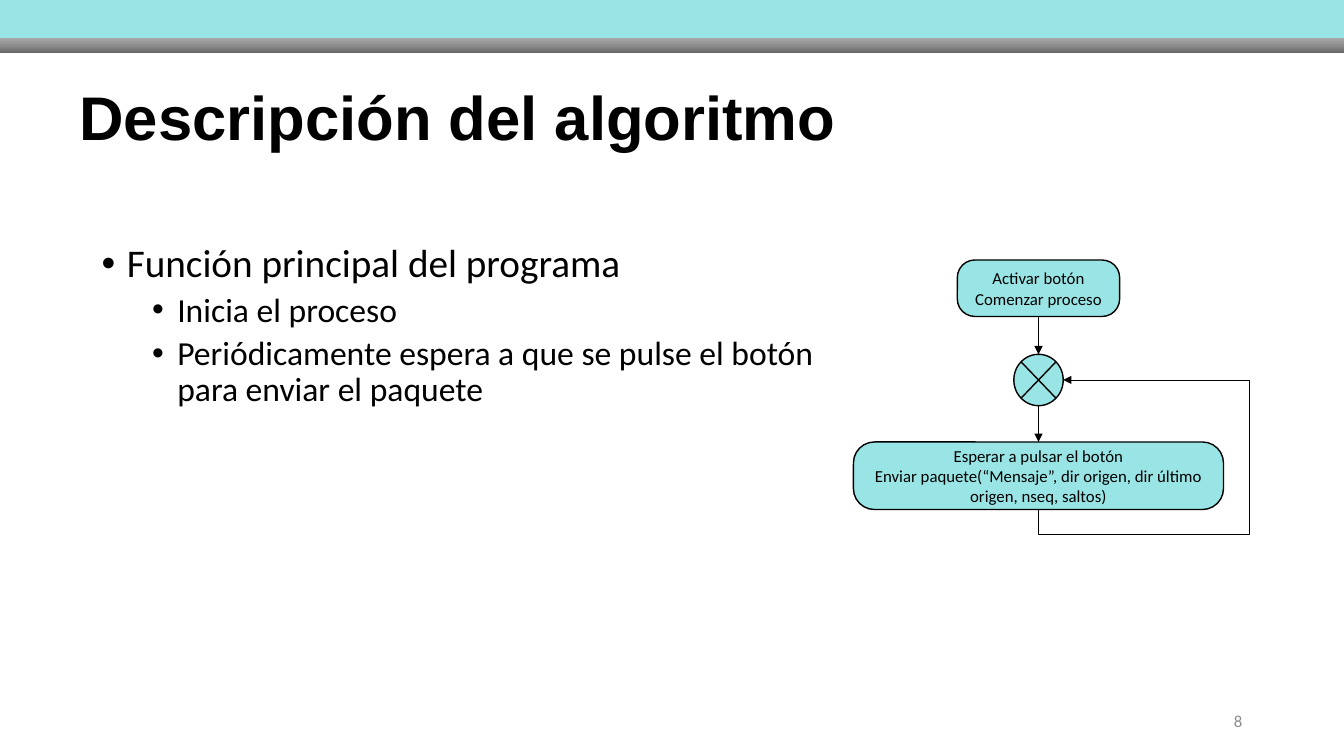
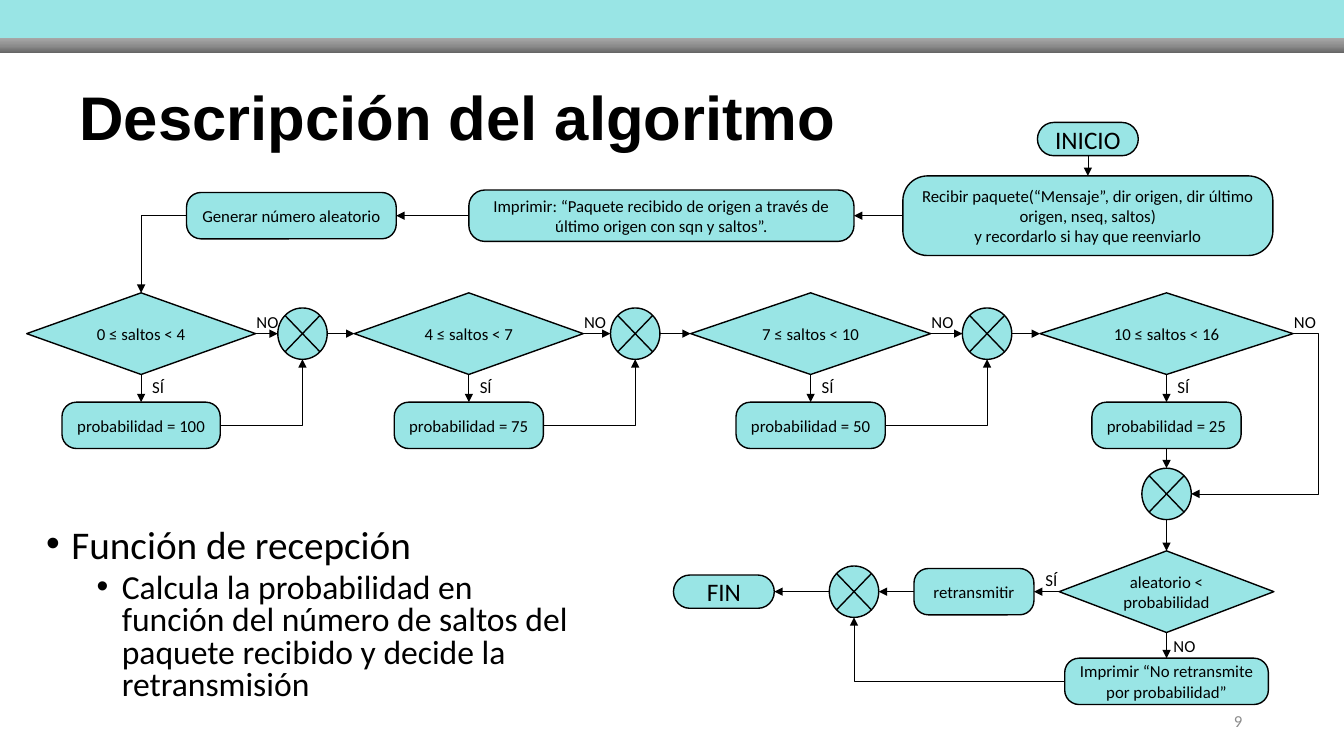
from copy import deepcopy
from dataclasses import dataclass

from lxml import etree
from pptx import Presentation
from pptx.dml.color import RGBColor
from pptx.enum.shapes import MSO_CONNECTOR, MSO_SHAPE
from pptx.enum.text import MSO_ANCHOR, PP_ALIGN
from pptx.oxml.ns import qn
from pptx.util import Inches, Pt

RECTANGLE = MSO_SHAPE.RECTANGLE
PROCESS = MSO_SHAPE.ROUNDED_RECTANGLE
DECISION = MSO_SHAPE.FLOWCHART_DECISION
JUNCTION = MSO_SHAPE.FLOWCHART_SUMMING_JUNCTION
TERMINATOR = MSO_SHAPE.FLOWCHART_TERMINATOR
STRAIGHT, ELBOW = MSO_CONNECTOR.STRAIGHT, MSO_CONNECTOR.ELBOW
MIDDLE, TOP = MSO_ANCHOR.MIDDLE, MSO_ANCHOR.TOP
LEFT, CENTER, RIGHT = PP_ALIGN.LEFT, PP_ALIGN.CENTER, PP_ALIGN.RIGHT

# Connection sites in order, counterclockwise from the top
SIDES = ("top", "left", "bottom", "right")


@dataclass(frozen=True)
class Theme:
    aqua: RGBColor = RGBColor(0x99, 0xE5, 0xE5)
    ink: RGBColor = RGBColor(0, 0, 0)
    muted: RGBColor = RGBColor(0x8C, 0x8C, 0x8C)
    band_stops: tuple = ((0, "626262"), (0.5, "8C8C8C"), (1, "A6A6A6"))
    title_font: str = "Arial"
    body_font: str = "Calibri"
    title_size: int = 44
    bullet_sizes: tuple = (28, 24)
    terminator_size: int = 18
    small_size: int = 12
    outline: float = 1
    arrow: float = 0.5


@dataclass(frozen=True)
class Box:
    left: float
    top: float
    width: float
    height: float

    def lengths(self):
        return [Inches(value) for value in (self.left, self.top, self.width, self.height)]


THEME = Theme()
TITLE_BOX = Box(0.69, 0.47, 11.5, 1.45)
NUMBER_BOX = Box(9.42, 6.95, 3, 0.4)


# Text
def format_paragraph(paragraph, size, color=THEME.ink, font=THEME.body_font,
                     bold=False, align=LEFT):
    paragraph.alignment = align
    for run in paragraph.runs:
        run.font.name = font
        run.font.size = Pt(size)
        run.font.bold = bold
        run.font.color.rgb = color


def add_text(slide, box, text, size, anchor=TOP, wrap=True, **style):
    text_frame = slide.shapes.add_textbox(*box.lengths()).text_frame
    text_frame.word_wrap = wrap
    text_frame.vertical_anchor = anchor
    text_frame.text = text
    for paragraph in text_frame.paragraphs:
        format_paragraph(paragraph, size, **style)
    return text_frame


def add_bullets(slide, box, items, line_spacing):
    """Place (level, text) items as a bulleted list."""
    text_frame = add_text(slide, box, "\n".join(text for _, text in items),
                          THEME.bullet_sizes[0])
    for paragraph, (level, _) in zip(text_frame.paragraphs, items):
        format_paragraph(paragraph, THEME.bullet_sizes[level])
        paragraph.level = level
        paragraph.line_spacing = line_spacing
        paragraph.space_before = Pt(10 - 5 * level)
        properties = paragraph._p.get_or_add_pPr()
        properties.set("marL", str(Inches(0.25 + 0.5 * level)))
        properties.set("indent", str(Inches(-0.25)))
        etree.SubElement(properties, qn("a:buFont"), typeface="Arial")
        etree.SubElement(properties, qn("a:buChar"), char="•")


# Shared slide frame: bands, title and number
def add_band(slide, box):
    band = slide.shapes.add_shape(RECTANGLE, *box.lengths())
    band.shadow.inherit = False
    band.line.fill.background()
    return band


def add_frame(presentation, title, number):
    slide = presentation.slides.add_slide(presentation.slide_layouts[6])
    color_band = add_band(slide, Box(0, 0, 13.33, 0.4))
    color_band.fill.solid()
    color_band.fill.fore_color.rgb = THEME.aqua

    gray_band = add_band(slide, Box(0, 0.38, 13.33, 0.15))
    gray_band.fill.gradient()
    gray_band.fill.gradient_angle = 90
    stop_list = gray_band._element.spPr.find(".//" + qn("a:gsLst"))
    stop_list.append(deepcopy(stop_list[-1]))
    for stop, (position, color) in zip(gray_band.fill.gradient_stops, THEME.band_stops):
        stop.position = position
        stop.color.rgb = RGBColor.from_string(color)

    heading = add_text(slide, TITLE_BOX, title, THEME.title_size, MIDDLE,
                       font=THEME.title_font, bold=True)
    heading.paragraphs[0].line_spacing = 0.9
    add_text(slide, NUMBER_BOX, str(number), THEME.small_size, MIDDLE,
             color=THEME.muted, align=RIGHT)
    return slide


# Flow chart parts, in coordinates relative to the chart's box
def side_point(shape, side):
    x = {"left": 0, "right": shape.width}.get(side, shape.width // 2)
    y = {"top": 0, "bottom": shape.height}.get(side, shape.height // 2)
    return shape.left + x, shape.top + y


class FlowChart:
    def __init__(self, slide, box):
        self.slide = slide
        self.box = box

    def node(self, kind, x, y, width, height, text="", size=THEME.small_size):
        """Place a node centred on (x, y)."""
        box = Box(self.box.left + x - width / 2, self.box.top + y - height / 2,
                  width, height)
        shape = self.slide.shapes.add_shape(kind, *box.lengths())
        shape.shadow.inherit = False
        shape.fill.solid()
        shape.fill.fore_color.rgb = THEME.aqua
        shape.line.color.rgb = THEME.ink
        shape.line.width = Pt(THEME.outline)
        if kind == PROCESS:
            shape.adjustments[0] = 0.31
        if text:
            text_frame = shape.text_frame
            text_frame.word_wrap = True
            text_frame.vertical_anchor = MIDDLE
            text_frame.text = text
            for paragraph in text_frame.paragraphs:
                format_paragraph(paragraph, size, align=CENTER)
        return shape

    def process(self, x, y, width, text, height=0.46):
        return self.node(PROCESS, x, y, width, height, text)

    def decision(self, x, y, width, text):
        return self.node(DECISION, x, y, width, 0.81, text)

    def junction(self, x, y):
        return self.node(JUNCTION, x, y, 0.49, 0.51)

    def terminator(self, x, y, text):
        return self.node(TERMINATOR, x, y, 1, 0.33, text, THEME.terminator_size)

    def label(self, x, y, text):
        box = Box(self.box.left + x, self.box.top + y, 0.42, 0.3)
        add_text(self.slide, box, text, THEME.small_size, wrap=False)

    def connect(self, source, source_side, target, target_side,
                bends=0, adjustments=(), quarter_turn=False):
        """Glue an arrow between two sides; a quarter turn leaves vertically."""
        begin, end = side_point(source, source_side), side_point(target, target_side)
        if quarter_turn:
            center_x, center_y = (begin[0] + end[0]) // 2, (begin[1] + end[1]) // 2
            begin, end = [(center_x + y - center_y, center_y - x + center_x)
                          for x, y in (begin, end)]
        connector = self.slide.shapes.add_connector(
            ELBOW if bends else STRAIGHT, *begin, *end)
        connector.line.color.rgb = THEME.ink
        connector.line.width = Pt(THEME.arrow)
        properties = connector._element.spPr
        etree.SubElement(properties.find(qn("a:ln")), qn("a:tailEnd"), type="triangle")
        etree.SubElement(properties, qn("a:effectLst"))
        if quarter_turn:
            properties.find(qn("a:xfrm")).set("rot", "5400000")
        if bends:
            geometry = properties.find(qn("a:prstGeom"))
            geometry.set("prst", f"bentConnector{bends + 1}")
            values = geometry.find(qn("a:avLst"))
            for index, value in enumerate(adjustments, 1):
                etree.SubElement(values, qn("a:gd"), name=f"adj{index}",
                                 fmla=f"val {round(value * 100000)}")
        glue = connector._element.nvCxnSpPr.cNvCxnSpPr
        for tag, shape, side in (("a:stCxn", source, source_side),
                                 ("a:endCxn", target, target_side)):
            # A junction has eight sites, the other nodes four
            step = 2 if shape.auto_shape_type == JUNCTION else 1
            etree.SubElement(glue, qn(tag), id=str(shape.shape_id),
                             idx=str(SIDES.index(side) * step))


# Main function: a loop that waits for the button
def draw_main_loop(slide, box):
    chart = FlowChart(slide, box)
    axis = 1.83
    start = chart.process(axis, 0.28, 1.61, "Activar botón\nComenzar proceso", 0.56)
    merge = chart.junction(axis, 1.19)
    send = chart.process(
        axis, 2.14, 3.67,
        "Esperar a pulsar el botón\n"
        "Enviar paquete(“Mensaje”, dir origen, dir último origen, nseq, saltos)", 0.67)
    chart.connect(start, "bottom", merge, "top")
    chart.connect(merge, "bottom", send, "top")
    chart.connect(send, "bottom", merge, "right", bends=3,
                  adjustments=(-0.19, 8.56), quarter_turn=True)


# Reception function: intake row, hop checks and outcome
def draw_intake(chart):
    axis, row = 10.52, 0.93
    start = chart.terminator(axis, 0.17, "INICIO")
    receive = chart.process(
        axis, row, 3.67,
        "Recibir paquete(“Mensaje”, dir origen, dir último origen, nseq, saltos)\n"
        "y recordarlo si hay que reenviarlo", 0.79)
    report = chart.process(
        6.29, row, 3.82,
        "Imprimir: “Paquete recibido de origen a través de último origen "
        "con sqn y saltos”.", 0.51)
    draw_number = chart.process(2.62, row, 2.08, "Generar número aleatorio")
    chart.connect(start, "bottom", receive, "top")
    chart.connect(receive, "left", report, "right")
    chart.connect(report, "left", draw_number, "right")
    return draw_number


def draw_hop_checks(chart, previous):
    row, result_row = 2.1, 3.01
    # Column centre, decision width, result width, hop range, probability, junction
    checks = (
        (1.13, 2.27, 1.57, "0 ≤ saltos < 4", 100, (2.73, row)),
        (4.38, 2.27, 1.48, "4 ≤ saltos < 7", 75, (6.03, row)),
        (7.77, 2.38, 1.48, "7 ≤ saltos < 10", 50, (9.52, row)),
        (11.3, 2.51, 1.48, "10 ≤ saltos < 16", 25, (11.3, 3.69)),
    )
    for index, (x, width, result_width, hops, probability, merge_at) in enumerate(checks):
        check = chart.decision(x, row, width, hops)
        result = chart.process(x, result_row, result_width, f"probabilidad = {probability}")
        merge = chart.junction(*merge_at)
        if index == 0:
            chart.connect(previous, "left", check, "top", bends=1)
        else:
            chart.connect(previous, "right", check, "left")
        chart.connect(check, "bottom", result, "top")
        if index < len(checks) - 1:
            chart.connect(check, "right", merge, "left")
            chart.connect(result, "right", merge, "bottom", bends=1)
        else:
            chart.connect(check, "right", merge, "right", bends=2, adjustments=(-0.25,))
            chart.connect(result, "bottom", merge, "top")
        chart.label(x + 0.01, 2.48, "SÍ")
        chart.label(x + width / 2 - 0.09, 1.83, "NO")
        previous = merge
    return previous


def draw_outcome(chart, previous):
    axis, row = 11.3, 4.66
    check = chart.decision(axis, row, 2.13, "aleatorio < probabilidad")
    resend = chart.process(9.39, row, 1.19, "retransmitir")
    merge = chart.junction(8.2, row)
    finish = chart.terminator(6.91, row, "FIN")
    discard = chart.process(axis, 5.55, 2.02, "Imprimir “No retransmite por probabilidad”")
    chart.connect(previous, "bottom", check, "top")
    chart.connect(check, "left", resend, "right")
    chart.connect(resend, "left", merge, "right")
    chart.connect(merge, "left", finish, "right")
    chart.connect(check, "bottom", discard, "top")
    chart.connect(discard, "left", merge, "bottom", bends=1)
    chart.label(10, 4.39, "SÍ")
    chart.label(11.27, 5.05, "NO")


def draw_reception(slide, box):
    chart = FlowChart(slide, box)
    draw_outcome(chart, draw_hop_checks(chart, draw_intake(chart)))


def main():
    presentation = Presentation()
    presentation.slide_width = Inches(13.33)
    presentation.slide_height = Inches(7.5)
    title = "Descripción del algoritmo"

    slide = add_frame(presentation, title, 8)
    add_bullets(slide, Box(0.91, 2.37, 7.79, 4.41), (
        (0, "Función principal del programa"),
        (1, "Inicia el proceso"),
        (1, "Periódicamente espera a que se pulse el botón para enviar el paquete"),
    ), 0.9)
    draw_main_loop(slide, Box(8.47, 2.58, 3.92, 2.73))

    slide = add_frame(presentation, title, 9)
    add_bullets(slide, Box(0.36, 5.2, 5.47, 1.95), (
        (0, "Función de recepción"),
        (1, "Calcula la probabilidad en función del número de saltos del paquete "
            "recibido y decide la retransmisión"),
    ), 0.8)
    draw_reception(slide, Box(0.27, 1.21, 12.8, 5.78))

    presentation.save("out.pptx")


if __name__ == "__main__":
    main()
